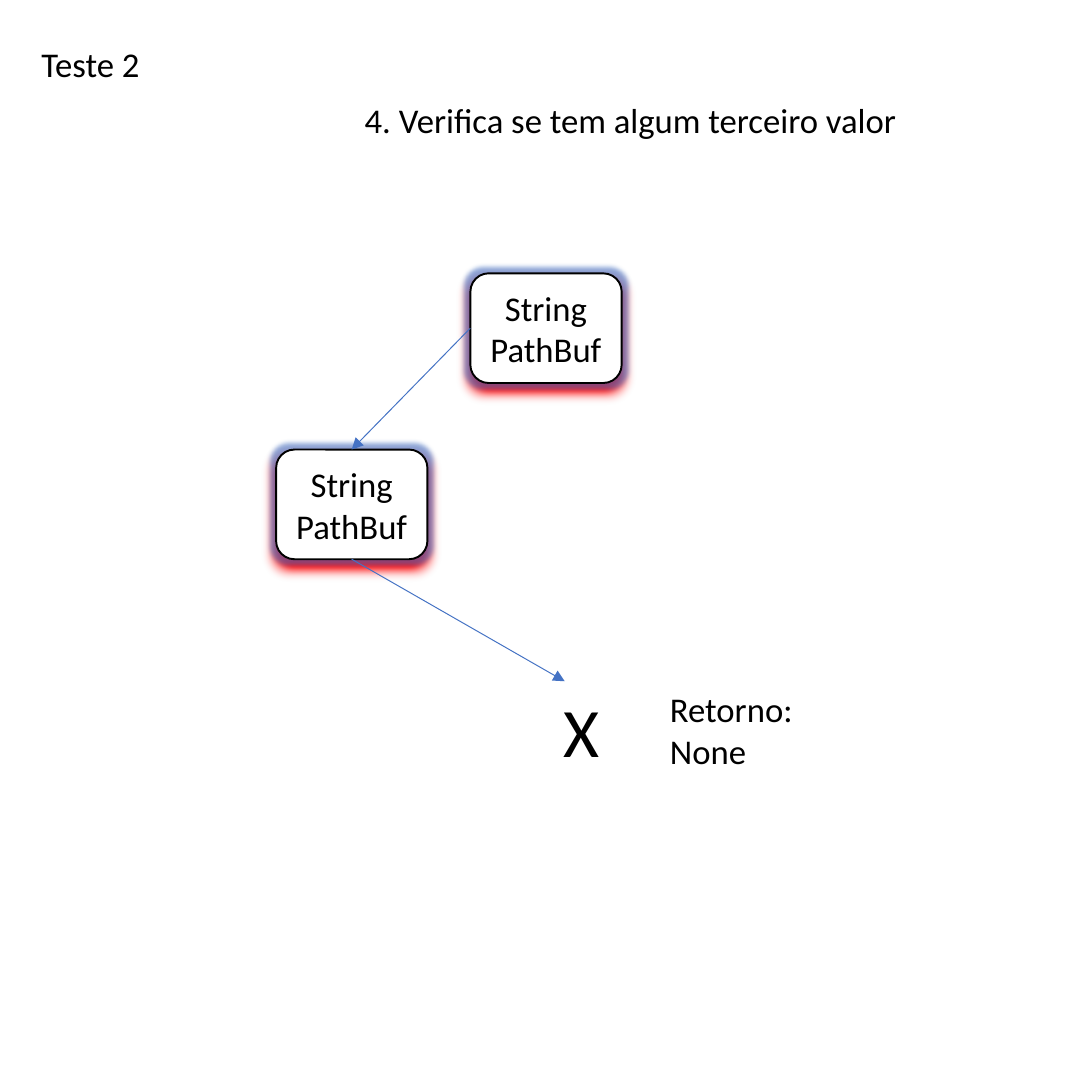
from lxml import etree
from pptx import Presentation
from pptx import util as u
from pptx.dml import color
from pptx.enum import shapes, text
from pptx.oxml import ns, parse_xml

BLACK, WHITE, BLUE, RED = "000000", "FFFFFF", "4472C4", "FF0000"
NODE_WIDTH, NODE_HEIGHT = 1.09, 0.79


def rgb(value):
    return color.RGBColor.from_string(value)


def write(shape, words, size, align):
    frame = shape.text_frame
    frame.word_wrap = True
    para = frame.paragraphs[0]
    para.text = words
    para.alignment = align
    font_format = {"name": "Calibri", "size": u.Pt(size)}
    for span in para.runs:
        for name, value in font_format.items():
            setattr(span.font, name, value)
        span.font.color.rgb = rgb(BLACK)


def add_label(page, words, left, top, width, height, size=18):
    box = page.shapes.add_textbox(*map(u.Inches, (left, top, width, height)))
    write(box, words, size, text.PP_ALIGN.LEFT)
    box.text_frame.auto_size = text.MSO_AUTO_SIZE.SHAPE_TO_FIT_TEXT


def add_glow_and_shadow(shape):
    """Put a blue glow around the shape and a red shadow below it."""
    shape.shadow.inherit = False
    effects = shape._element.spPr.find(ns.qn("a:effectLst"))
    declared = ns.nsdecls("a")
    effects.append(parse_xml(
        f'<a:glow {declared} rad="{u.Pt(5)}"><a:srgbClr val="{BLUE}">'
        '<a:alpha val="60000"/></a:srgbClr></a:glow>'))
    effects.append(parse_xml(
        f'<a:outerShdw {declared} blurRad="{u.Pt(4)}" dist="{u.Pt(4)}" '
        'dir="5400000" algn="ctr" rotWithShape="0">'
        f'<a:srgbClr val="{RED}"/></a:outerShdw>'))


def add_node(page, left, top):
    node = page.shapes.add_shape(
        shapes.MSO_SHAPE.ROUNDED_RECTANGLE,
        *map(u.Inches, (left, top, NODE_WIDTH, NODE_HEIGHT)))
    node.fill.solid()
    node.fill.fore_color.rgb = rgb(WHITE)
    node.line.color.rgb = rgb(BLACK)
    node.line.width = u.Pt(1)
    add_glow_and_shadow(node)
    write(node, "String\vPathBuf", 18, text.PP_ALIGN.CENTER)
    node.text_frame.vertical_anchor = text.MSO_ANCHOR.MIDDLE
    return node


def add_arrow(page, start, end):
    arrow = page.shapes.add_connector(
        shapes.MSO_CONNECTOR.STRAIGHT, *map(u.Inches, start + end))
    arrow.line.color.rgb = rgb(BLUE)
    arrow.line.width = u.Pt(0.5)
    etree.SubElement(arrow.line._get_or_add_ln(), ns.qn("a:tailEnd"), type="triangle")
    etree.SubElement(arrow._element.spPr, ns.qn("a:effectLst"))
    return arrow


def add_headings(page, left, top):
    add_label(page, "Teste 2", left, top, 1.86, 0.4)
    add_label(page, "4. Verifica se tem algum terceiro valor",
              left + 2.33, top + 0.4, 4.31, 0.4)


def add_tree(page, left, top):
    """Draw the root, its left child and the arrow to the missing value."""
    root_left, child_top = left + 1.4, top + 1.27
    child_middle = left + NODE_WIDTH / 2
    child_bottom = child_top + NODE_HEIGHT
    root = add_node(page, root_left, top)
    child = add_node(page, left, child_top)

    to_child = add_arrow(page, (root_left, top + NODE_HEIGHT / 2),
                         (child_middle, child_top))
    to_child.begin_connect(root, 1)
    to_child.end_connect(child, 0)
    to_missing = add_arrow(page, (child_middle, child_bottom),
                           (left + 2.08, child_bottom + 0.88))
    to_missing.begin_connect(child, 2)


def add_result(page, left, top):
    add_label(page, "X", left, top, 1.54, 0.71, size=36)
    add_label(page, "Retorno:\vNone", left + 0.77, top, 1.69, 0.71)


def main():
    deck = Presentation()
    deck.slide_width = deck.slide_height = u.Inches(7.87)
    page = deck.slides.add_slide(deck.slide_layouts[6])
    add_headings(page, 0.2, 0.26)
    add_tree(page, 1.99, 1.97)
    add_result(page, 3.96, 4.91)
    deck.save("out.pptx")


if __name__ == "__main__":
    main()
